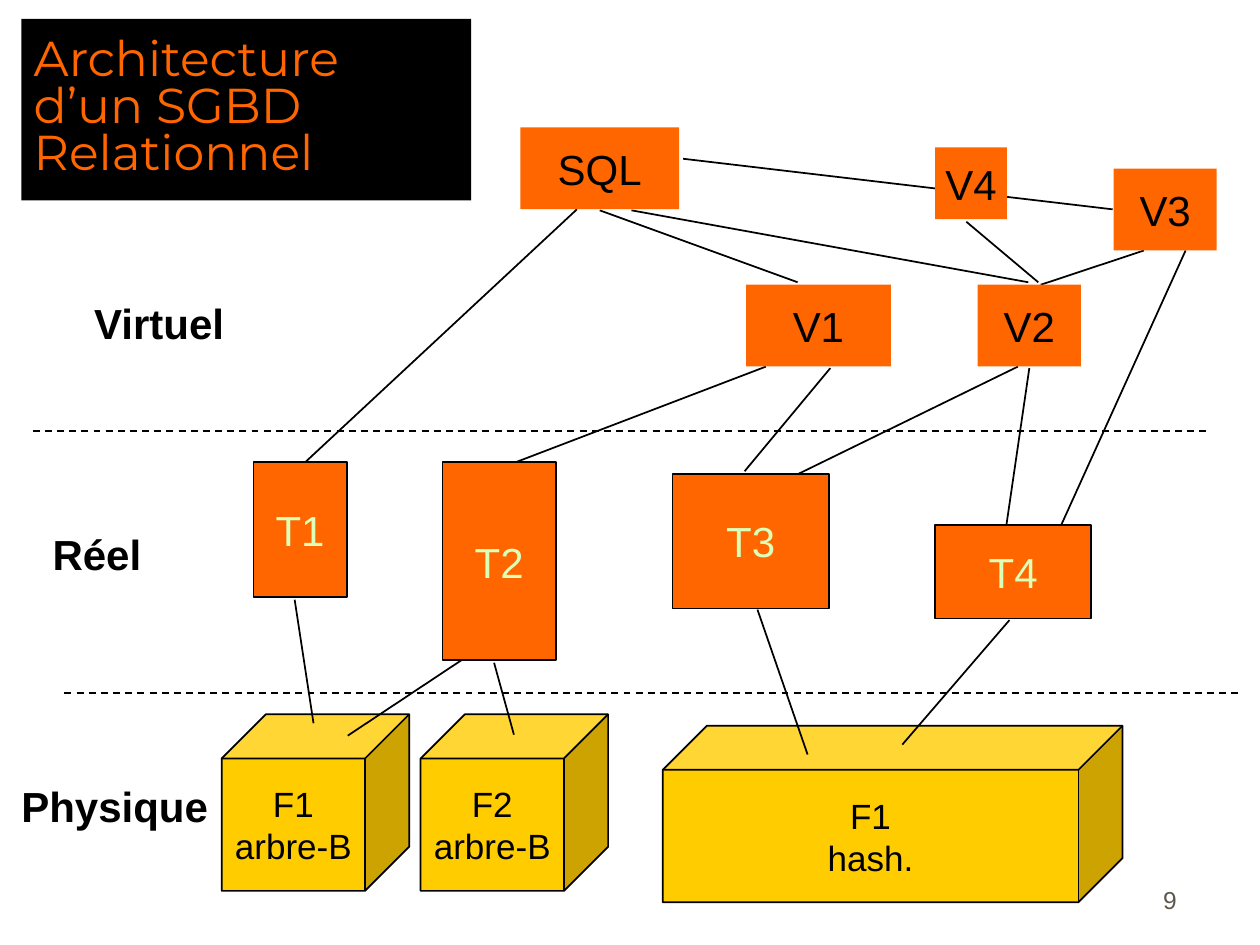
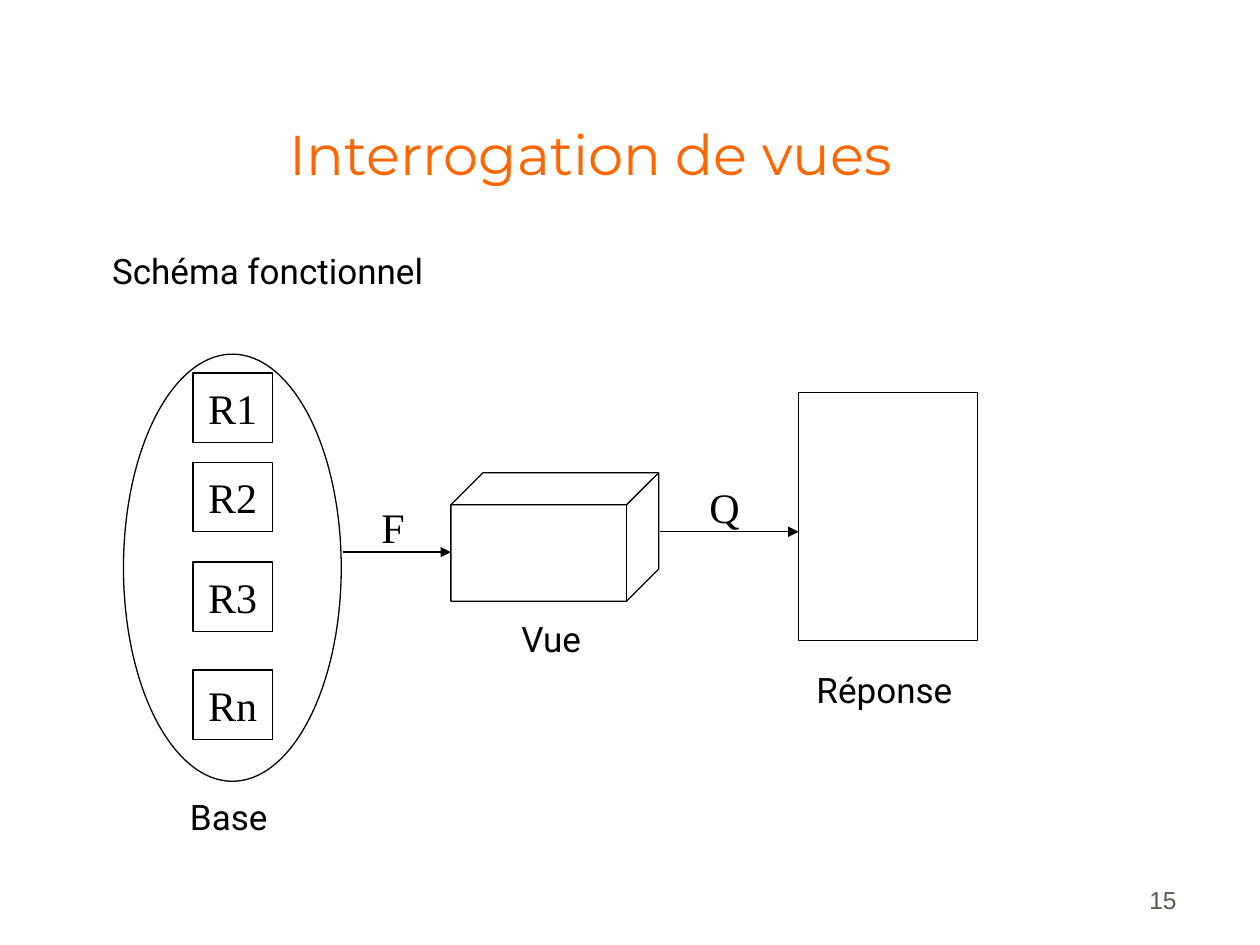
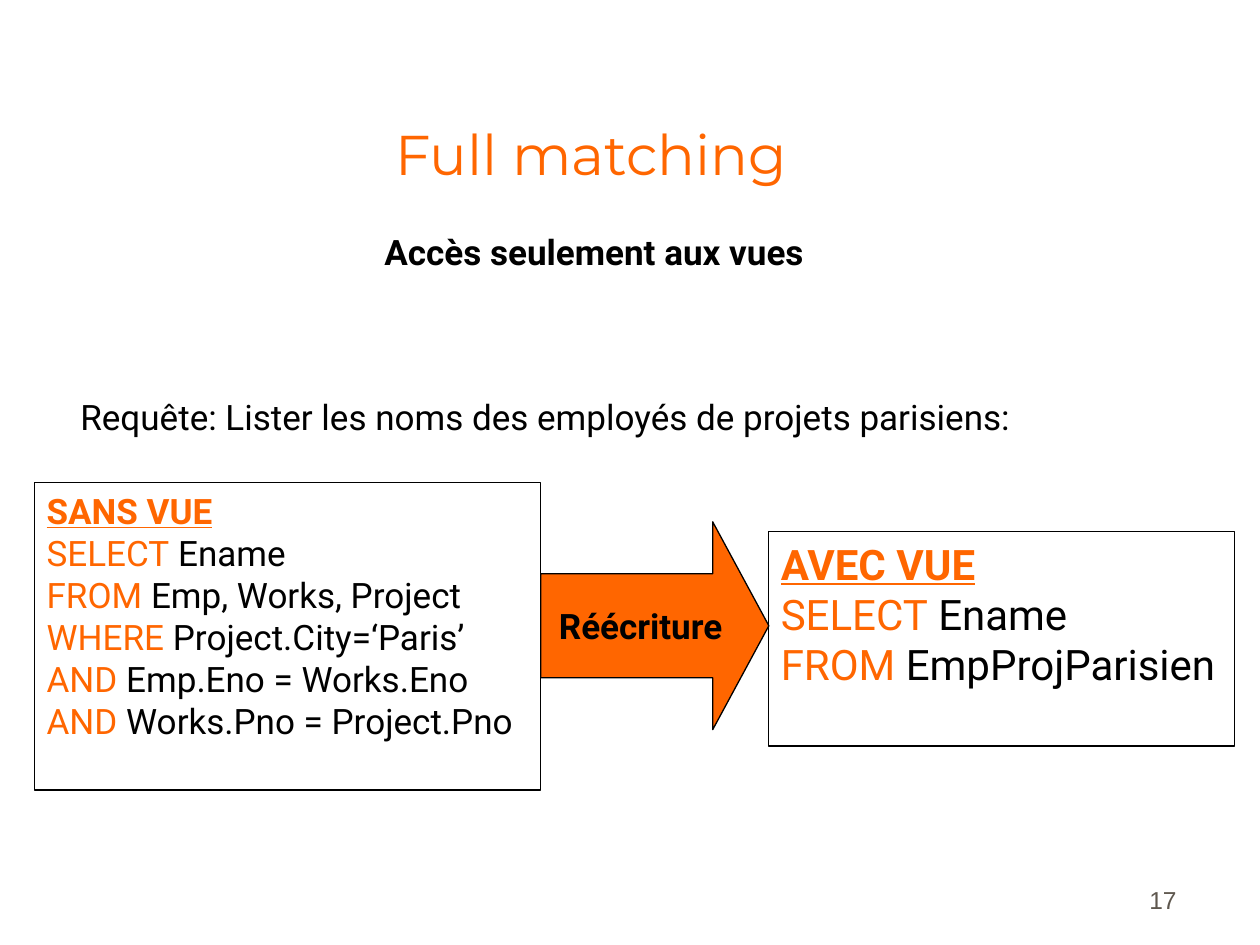
from dataclasses import dataclass

from lxml.etree import SubElement
from pptx import Presentation
from pptx.dml.color import RGBColor
from pptx.enum.dml import MSO_LINE
from pptx.enum.shapes import MSO_CONNECTOR, MSO_SHAPE
from pptx.enum.text import MSO_ANCHOR, PP_ALIGN
from pptx.oxml.ns import qn
from pptx.shapes.autoshape import Shape
from pptx.slide import Slide
from pptx.util import Cm, Pt

ORANGE, YELLOW, BLACK, PALE_GREEN, GREY = "FF6600", "FFCC00", "000000", "DBFFB8", "5E574E"


@dataclass(frozen=True)
class Box:
    """Place of an element, in centimetres."""
    left: float
    top: float
    width: float
    height: float


@dataclass(frozen=True)
class Type:
    font: str
    size: float
    color: str = BLACK
    bold: bool = False
    align: PP_ALIGN = PP_ALIGN.LEFT
    anchor: MSO_ANCHOR = MSO_ANCHOR.TOP
    wrap: bool = False
    spacing: float = 1.0
    margins: tuple[float, float] = (0.25, 0.13)


@dataclass(frozen=True)
class Look:
    fill: str | None = None
    line: str | None = BLACK
    weight: float = 0.75


@dataclass(frozen=True)
class Block:
    text: str
    box: Box
    look: Look
    type: Type
    preset: MSO_SHAPE = MSO_SHAPE.RECTANGLE


@dataclass(frozen=True)
class Label:
    text: str
    box: Box
    type: Type


@dataclass(frozen=True)
class Link:
    x1: float
    y1: float
    x2: float
    y2: float
    weight: float = 1
    dashed: bool = False
    arrow: bool = False


@dataclass(frozen=True)
class Query:
    heading: str
    clauses: tuple[tuple[str, str], ...]
    box: Box
    size: float


def centred(font: str, size: float, color: str = BLACK, bold: bool = False) -> Type:
    return Type(font, size, color, bold, PP_ALIGN.CENTER, MSO_ANCHOR.MIDDLE)


OUTLINE = Look()
VIEW_LOOK = Look(ORANGE, None)
TABLE_LOOK = Look(ORANGE, weight=1)
FILE_LOOK = Look(YELLOW, weight=1)
VIEW_TYPE = centred("Arial", 24)
TABLE_TYPE = centred("Arial", 24, PALE_GREEN)
FILE_TYPE = centred("Arial", 20)
RELATION_TYPE = centred("Times New Roman", 24)
LEVEL_TYPE = Type("Arial", 24, bold=True)
BODY_TYPE = Type("Roboto", 20)
FUNCTION_TYPE = Type("Times New Roman", 24)
TITLE_TYPE = Type("Montserrat", 32, ORANGE, align=PP_ALIGN.CENTER, anchor=MSO_ANCHOR.BOTTOM,
                  wrap=True, margins=(0, 0.06))
CORNER_TITLE_TYPE = Type("Montserrat", 28, ORANGE, anchor=MSO_ANCHOR.MIDDLE, wrap=True,
                         spacing=0.8)
NUMBER_TYPE = Type("Arial", 14, GREY, align=PP_ALIGN.RIGHT, anchor=MSO_ANCHOR.BOTTOM, wrap=True)
TITLE_BOX = Box(1.12, 0.64, 21.59, 3.18)
NUMBER_BOX = Box(18.69, 17.3, 5.28, 1.27)


def rgb(color: str) -> RGBColor:
    return RGBColor.from_string(color)


def place(box: Box) -> tuple[Cm, Cm, Cm, Cm]:
    return Cm(box.left), Cm(box.top), Cm(box.width), Cm(box.height)


def write(shape: Shape, text: str, style: Type) -> None:
    frame = shape.text_frame
    frame.word_wrap = style.wrap
    frame.vertical_anchor = style.anchor
    frame.margin_left = frame.margin_right = Cm(style.margins[0])
    frame.margin_top = frame.margin_bottom = Cm(style.margins[1])
    frame.text = text
    for paragraph in frame.paragraphs:
        paragraph.alignment = style.align
        paragraph.line_spacing = style.spacing
        font = paragraph.font
        font.name, font.size, font.bold = style.font, Pt(style.size), style.bold
        font.color.rgb = rgb(style.color)


def draw_shape(slide: Slide, box: Box, look: Look,
               preset: MSO_SHAPE = MSO_SHAPE.RECTANGLE) -> Shape:
    shape = slide.shapes.add_shape(preset, *place(box))
    shape.shadow.inherit = False
    if look.fill:
        shape.fill.solid()
        shape.fill.fore_color.rgb = rgb(look.fill)
    else:
        shape.fill.background()
    if look.line:
        shape.line.color.rgb = rgb(look.line)
        shape.line.width = Pt(look.weight)
    else:
        shape.line.fill.background()
    return shape


def draw_block(slide: Slide, block: Block) -> Shape:
    shape = draw_shape(slide, block.box, block.look, block.preset)
    write(shape, block.text, block.type)
    return shape


def draw_label(slide: Slide, label: Label) -> None:
    write(slide.shapes.add_textbox(*place(label.box)), label.text, label.type)


def draw_link(slide: Slide, link: Link) -> None:
    connector = slide.shapes.add_connector(
        MSO_CONNECTOR.STRAIGHT, Cm(link.x1), Cm(link.y1), Cm(link.x2), Cm(link.y2))
    connector.line.color.rgb = rgb(BLACK)
    connector.line.width = Pt(link.weight)
    if link.dashed:
        connector.line.dash_style = MSO_LINE.DASH
    if link.arrow:
        SubElement(connector.line._get_or_add_ln(), qn("a:tailEnd"), type="triangle")
    SubElement(connector._element.spPr, qn("a:effectLst"))


def draw_query(slide: Slide, query: Query) -> None:
    """Draw a framed SQL query with an underlined heading and coloured keywords."""
    shape = draw_shape(slide, query.box, OUTLINE)
    write(shape, query.heading, Type("Roboto", query.size, ORANGE, bold=True, wrap=True))
    frame = shape.text_frame
    frame.paragraphs[0].font.underline = True
    for keyword, operands in query.clauses:
        clause = frame.add_paragraph()
        clause.alignment = PP_ALIGN.LEFT
        clause.font.name, clause.font.size = "Roboto", Pt(query.size)
        for text, color in ((keyword, ORANGE), (f" {operands}", BLACK)):
            run = clause.add_run()
            run.text = text
            run.font.color.rgb = rgb(color)


def new_slide(deck: Presentation, number: int, title: str | None = None) -> Slide:
    slide = deck.slides.add_slide(deck.slide_layouts[6])
    draw_label(slide, Label(str(number), NUMBER_BOX, NUMBER_TYPE))
    if title:
        draw_label(slide, Label(title, TITLE_BOX, TITLE_TYPE))
    return slide


def build_architecture(deck: Presentation) -> None:
    slide = new_slide(deck, 9)
    draw_block(slide, Block("Architecture d’un SGBD Relationnel", Box(0.43, 0.38, 9.07, 3.66),
                            Look(BLACK, None), CORNER_TITLE_TYPE))
    levels = (
        ("Virtuel", Box(1.65, 5.87, 3.15, 1.27)),
        ("Réel", Box(0.81, 10.52, 2.29, 1.27)),
        ("Physique", Box(0.18, 15.6, 4.27, 1.27)),
    )
    files = (
        ("F1\narbre-B", Box(4.47, 14.4, 3.78, 3.56)),
        ("F2\narbre-B", Box(8.48, 14.4, 3.78, 3.56)),
        ("F1\nhash.", Box(13.36, 14.63, 9.27, 3.56)),
    )
    level_borders = (
        Link(0.66, 8.69, 24.33, 8.69, dashed=True),
        Link(1.3, 13.97, 24.97, 13.97, dashed=True),
    )
    query_links = (
        Link(6.15, 9.32, 11.63, 4.22),
        Link(12.09, 4.24, 16.08, 5.69),
        Link(12.73, 4.24, 20.73, 5.69),
        Link(13.77, 3.2, 22.43, 4.22),
    )
    view_links = (
        Link(10.39, 9.32, 15.44, 7.39),
        Link(16.74, 7.42, 15.01, 9.5),
        Link(16.1, 9.55, 20.52, 7.39),
        Link(20.75, 7.42, 20.29, 10.57),
        Link(20.98, 5.74, 23.06, 5.05),
        Link(21.39, 10.59, 23.9, 5.05),
        Link(19.48, 4.47, 20.93, 5.69),
    )
    table_links = (
        Link(5.94, 12.09, 6.32, 14.58),
        Link(7.01, 14.83, 9.3, 13.31),
        Link(9.96, 13.36, 10.36, 14.81),
        Link(15.27, 12.29, 16.28, 15.21),
        Link(20.35, 12.5, 18.19, 15.01),
    )
    views = (
        ("SQL", Box(10.49, 2.57, 3.2, 1.65)),
        ("V1", Box(15.04, 5.74, 2.92, 1.65)),
        ("V2", Box(19.71, 5.74, 2.08, 1.65)),
        ("V3", Box(22.45, 3.4, 2.08, 1.65)),
        ("V4", Box(18.85, 2.97, 1.45, 1.45)),
    )
    tables = (
        ("T1", Box(5.11, 9.32, 1.88, 2.72)),
        ("T2", Box(8.92, 9.32, 2.29, 3.99)),
        ("T3", Box(13.56, 9.55, 3.15, 2.72)),
        ("T4", Box(18.85, 10.59, 3.15, 1.88)),
    )
    for name, box in levels:
        draw_label(slide, Label(name, box, LEVEL_TYPE))
    for name, box in files:
        draw_block(slide, Block(name, box, FILE_LOOK, FILE_TYPE, MSO_SHAPE.CUBE))
    for link in level_borders + query_links + view_links + table_links:
        draw_link(slide, link)
    for name, box in views:
        draw_block(slide, Block(name, box, VIEW_LOOK, VIEW_TYPE))
    for name, box in tables:
        draw_block(slide, Block(name, box, TABLE_LOOK, TABLE_TYPE))


def build_view_querying(deck: Presentation) -> None:
    slide = new_slide(deck, 15, "Interrogation de vues")
    for relation, top in (("R1", 7.52), ("R2", 9.32), ("R3", 11.33), ("Rn", 13.51)):
        draw_block(slide, Block(relation, Box(3.89, top, 1.6, 1.4), OUTLINE, RELATION_TYPE))
    draw_shape(slide, Box(2.49, 7.14, 4.39, 8.61), OUTLINE, MSO_SHAPE.OVAL)
    draw_shape(slide, Box(9.09, 9.53, 4.19, 2.59), OUTLINE, MSO_SHAPE.CUBE)
    draw_shape(slide, Box(16.1, 7.92, 3.61, 5), OUTLINE)
    for start, end, y in ((6.91, 9.09, 11.13), (13.31, 16.1, 10.72)):
        draw_link(slide, Link(start, y, end, y, weight=0.75, arrow=True))
    for label in (
        Label("Schéma fonctionnel", Box(2.01, 4.9, 7.09, 1.12), BODY_TYPE),
        Label("Base", Box(3.58, 15.9, 2.11, 1.12), BODY_TYPE),
        Label("Vue", Box(10.26, 12.32, 1.75, 1.12), BODY_TYPE),
        Label("Réponse", Box(16.21, 13.34, 3.38, 1.12), BODY_TYPE),
        Label("F", Box(7.44, 9.98, 0.97, 1.27), FUNCTION_TYPE),
        Label("Q", Box(14.05, 9.58, 1.12, 1.27), FUNCTION_TYPE),
    ):
        draw_label(slide, label)


def build_full_matching(deck: Presentation) -> None:
    slide = new_slide(deck, 17, "Full matching")
    draw_label(slide, Label("Accès seulement aux vues", Box(6.73, 4.52, 9.73, 1.12),
                            Type("Roboto", 20, bold=True, align=PP_ALIGN.RIGHT)))
    draw_label(slide, Label("Requête: Lister les noms des employés de projets parisiens:",
                            Box(1.37, 7.85, 20.27, 1.12), BODY_TYPE))
    draw_query(slide, Query("SANS VUE", (
        ("SELECT", "Ename"),
        ("FROM", "Emp, Works, Project"),
        ("WHERE", "Project.City=‘Paris’"),
        ("AND", "Emp.Eno = Works.Eno"),
        ("AND", "Works.Pno = Project.Pno"),
    ), Box(0.69, 9.73, 10.21, 6.2), 20))
    draw_query(slide, Query("AVEC VUE", (
        ("SELECT", "Ename"),
        ("FROM", "EmpProjParisien"),
    ), Box(15.49, 10.72, 9.4, 4.32), 24))
    rewriting = draw_block(slide, Block("Réécriture", Box(10.9, 10.52, 4.6, 4.19), Look(ORANGE),
                                        centred("Roboto", 20, bold=True),
                                        MSO_SHAPE.RIGHT_ARROW))
    rewriting.adjustments[1] = 0.27


def main() -> None:
    deck = Presentation()
    deck.slide_width, deck.slide_height = Cm(25.4), Cm(19.05)
    build_architecture(deck)
    build_view_querying(deck)
    build_full_matching(deck)
    deck.save("out.pptx")


if __name__ == "__main__":
    main()
